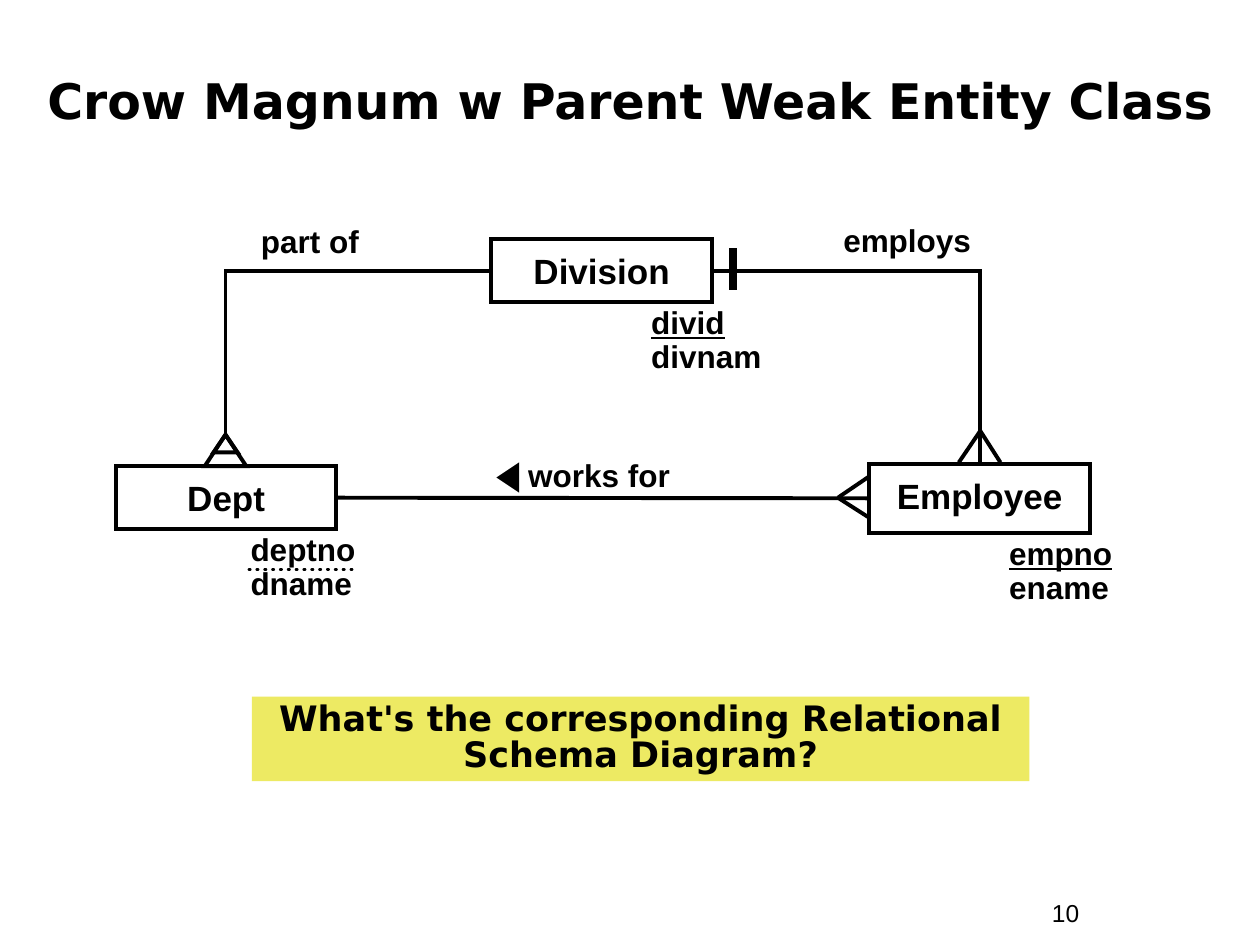
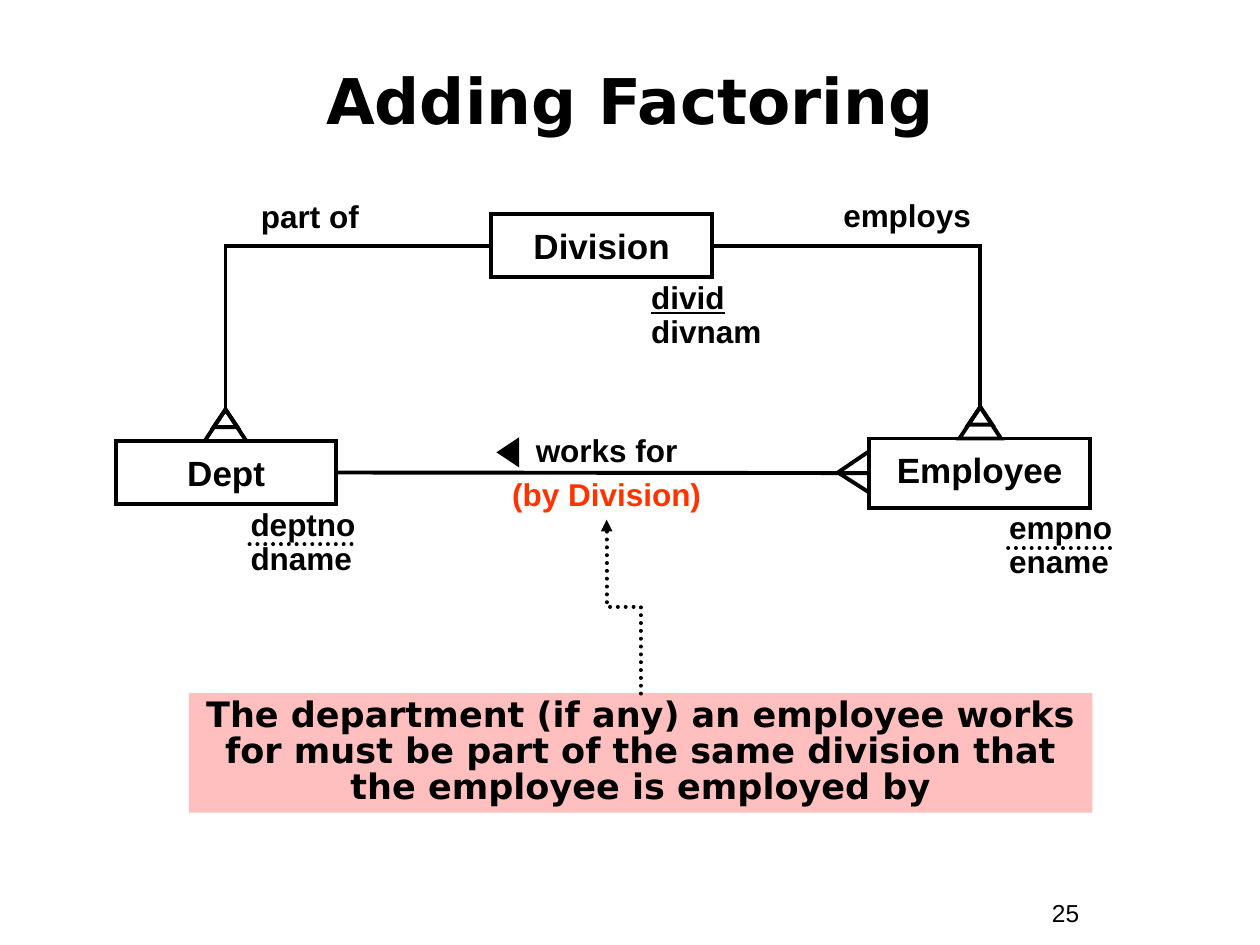
from dataclasses import dataclass

from lxml.etree import SubElement
from pptx import Presentation
from pptx.dml.color import RGBColor
from pptx.enum.dml import MSO_LINE
from pptx.enum.shapes import MSO_CONNECTOR as Link, MSO_SHAPE as Form
from pptx.enum.text import MSO_ANCHOR as Anchor, MSO_AUTO_SIZE as Fit, PP_ALIGN as Align
from pptx.oxml.ns import qn
from pptx.util import Inches, Pt

COLORS = {
    "ink": "000000",
    "factor": "FF3300",
    "ask": "EDEA63",
    "rule": "FFBFBF",
}
SANS, HEAD = "Arial", "DejaVu Sans"
STROKE = 2.25
NODE_W = 1.75


@dataclass(frozen=True)
class Area:
    left: float
    top: float
    width: float
    height: float

    def down(self, shift: float) -> "Area":
        return Area(self.left, self.top + shift, self.width, self.height)

    def inches(self) -> list:
        return [Inches(v) for v in (self.left, self.top, self.width, self.height)]


@dataclass(frozen=True)
class Node:
    name: str
    area: Area
    keys: tuple[str, str]
    spot: Area
    pitch: float = 1.0


@dataclass(frozen=True)
class Scene:
    title: str
    size: int
    width: float
    page: str
    shift: float
    weak: tuple[str, ...]
    note: str
    fill: str
    area: Area


NODES = [
    Node("Employee", Area(6.9, 3.68, NODE_W, 0.55), ("empno", "ename"),
         Area(7.91, 4.22, 1.19, 0.64), 0.85),
    Node("Division", Area(3.9, 1.9, NODE_W, 0.5), ("divid", "divnam"),
         Area(5.07, 2.39, 1.19, 0.64)),
    Node("Dept", Area(0.92, 3.7, NODE_W, 0.5), ("deptno", "dname"),
         Area(1.89, 4.19, 1.19, 0.64)),
]
LABELS = {
    "employs": Area(6.27, 1.75, 1.86, 0.36),
    "part of": Area(1.53, 1.76, 1.86, 0.36),
}
SCENES = [
    Scene("Crow Magnum w Parent Weak Entity Class", 28, 9.67, "10", 0, ("Dept",),
          "What's the corresponding Relational Schema Diagram?",
          "ask", Area(2, 5.53, 6.17, 0.67)),
    Scene("Adding Factoring", 36, 9.33, "25", -0.2, ("Dept", "Employee"),
          "The department (if any) an employee works for must be part of "
          "the same division that the employee is employed by",
          "rule", Area(1.5, 5.5, 7.17, 0.95)),
]


def color(name: str) -> RGBColor:
    return RGBColor.from_string(COLORS[name])


def write(shape, text: str, size: float, font: str = SANS, bold: bool = True,
          align=Align.CENTER, pitch: float = 1.0, anchor=Anchor.TOP, wrap: bool = True):
    frame = shape.text_frame
    frame.text = text
    frame.word_wrap = wrap
    frame.auto_size = Fit.NONE
    frame.vertical_anchor = anchor
    for para in frame.paragraphs:
        para.alignment = align
        para.line_spacing = pitch
        para.space_before = Pt(0)
        for run in para.runs:
            run.font.name = font
            run.font.size = Pt(size)
            run.font.bold = bold
            run.font.color.rgb = color("ink")
    return frame


def label(slide, area: Area, text: str, size: float = 18, **style):
    return write(slide.shapes.add_textbox(*area.inches()), text, size, **style)


def ink(line, width: float = STROKE, dots: bool = False, arrow: bool = False) -> None:
    line.color.rgb = color("ink")
    line.width = Pt(width)
    if dots:
        line.dash_style = MSO_LINE.ROUND_DOT
    edge = line._get_or_add_ln()
    if dots:
        edge.set("cap", "rnd")
    SubElement(edge, qn("a:miter"), lim="800000")
    if arrow:
        SubElement(edge, qn("a:tailEnd"), type="triangle")


def draw(slide, form, area: Area, fill: str = ""):
    shape = slide.shapes.add_shape(form, *area.inches())
    shape.shadow.inherit = False
    if fill:
        shape.fill.solid()
        shape.fill.fore_color.rgb = color(fill)
        shape.line.fill.background()
    else:
        shape.fill.background()
        ink(shape.line)
    return shape


def wire(slide, start: tuple, end: tuple, kind=Link.STRAIGHT, **style):
    line = slide.shapes.add_connector(kind, *(Inches(v) for v in start + end))
    ink(line.line, **style)
    SubElement(line._element.spPr, qn("a:effectLst"))
    return line


def bend(slide, start: tuple, end: tuple) -> None:
    line = wire(slide, start, end, Link.ELBOW)
    line._element.spPr.find(qn("a:prstGeom")).set("prst", "bentConnector2")


def hat(slide, mid: float, top: float) -> None:
    for width, height in ((0.33, 0.25), (0.19, 0.14)):
        draw(slide, Form.ISOSCELES_TRIANGLE, Area(mid - width / 2, top, width, height))


def foot(slide, tip: tuple, *toes: tuple) -> None:
    for toe in toes:
        wire(slide, tip, toe)


def entity(slide, node: Node, shift: float, weak: bool):
    box = draw(slide, Form.RECTANGLE, node.area.down(shift))
    write(box, node.name, 20, pitch=node.pitch, anchor=Anchor.MIDDLE, wrap=False)
    spot = node.spot.down(shift)
    frame = label(slide, spot, "\n".join(node.keys), align=Align.LEFT, pitch=0.9)
    if weak:
        y = spot.top + 0.33
        wire(slide, (spot.left + 0.9, y), (spot.left + 0.07, y), dots=True)
    else:
        frame.paragraphs[0].runs[0].font.underline = True
    return box


def base(deck, scene: Scene):
    slide = deck.slides.add_slide(deck.slide_layouts[5])
    title = slide.shapes.title
    area = Area((10 - scene.width) / 2, 0.33, scene.width, 0.92)
    title.left, title.top, title.width, title.height = area.inches()
    write(title, scene.title, scene.size, HEAD, anchor=Anchor.MIDDLE)
    label(slide, Area(8.25, 7.08, 0.92, 0.34), scene.page, 14,
          bold=False, align=Align.LEFT)
    note = draw(slide, Form.RECTANGLE, scene.area, scene.fill)
    write(note, scene.note, 20, HEAD, pitch=0.85)
    return slide


def model(slide, scene: Scene) -> None:
    dy = scene.shift
    boxes = {n.name: entity(slide, n, dy, n.name in scene.weak) for n in NODES}
    for text, area in LABELS.items():
        label(slide, area.down(dy), text, pitch=0.85)

    works = wire(slide, (2.67, 3.95 + dy), (6.9, 3.95 + dy))
    works.begin_connect(boxes["Dept"], 3)
    works.end_connect(boxes["Employee"], 1)
    foot(slide, (6.65, 3.95 + dy), (6.9, 3.78 + dy), (6.9, 4.11 + dy))
    mark = draw(slide, Form.ISOSCELES_TRIANGLE,
                Area(3.91, 3.7, 0.24, 0.18).down(dy), "ink")
    mark.rotation = 270

    bend(slide, (3.9, 2.15 + dy), (1.79, 3.45 + dy))
    hat(slide, 1.79, 3.45 + dy)
    weak = "Employee" in scene.weak
    bend(slide, (5.65, 2.15 + dy), (7.78, (3.43 if weak else 3.67) + dy))
    if weak:
        hat(slide, 7.78, 3.43 + dy)
    else:
        foot(slide, (7.78, 3.42 + dy), (7.94, 3.67 + dy), (7.61, 3.67 + dy))


def main() -> None:
    deck = Presentation()
    deck.slide_width, deck.slide_height = Inches(10), Inches(7.5)
    plain, factor = [base(deck, scene) for scene in SCENES]
    for slide, scene in zip((plain, factor), SCENES):
        model(slide, scene)

    label(plain, Area(3.92, 3.62, 1.67, 0.36), "works for", pitch=0.85)
    wire(plain, (5.82, 1.97), (5.82, 2.3), width=4.5)

    frame = label(factor, Area(3.71, 3.33, 2.21, 0.79),
                  "works for\v(by Division)", pitch=1.15)
    frame.paragraphs[0].runs[1].font.color.rgb = color("factor")
    arrow = wire(factor, (4.26, 4.95), (5.64, 4.68), Link.ELBOW, dots=True, arrow=True)
    arrow._element.spPr.find(qn("a:xfrm")).set("rot", "16200000")
    deck.save("out.pptx")


if __name__ == "__main__":
    main()
